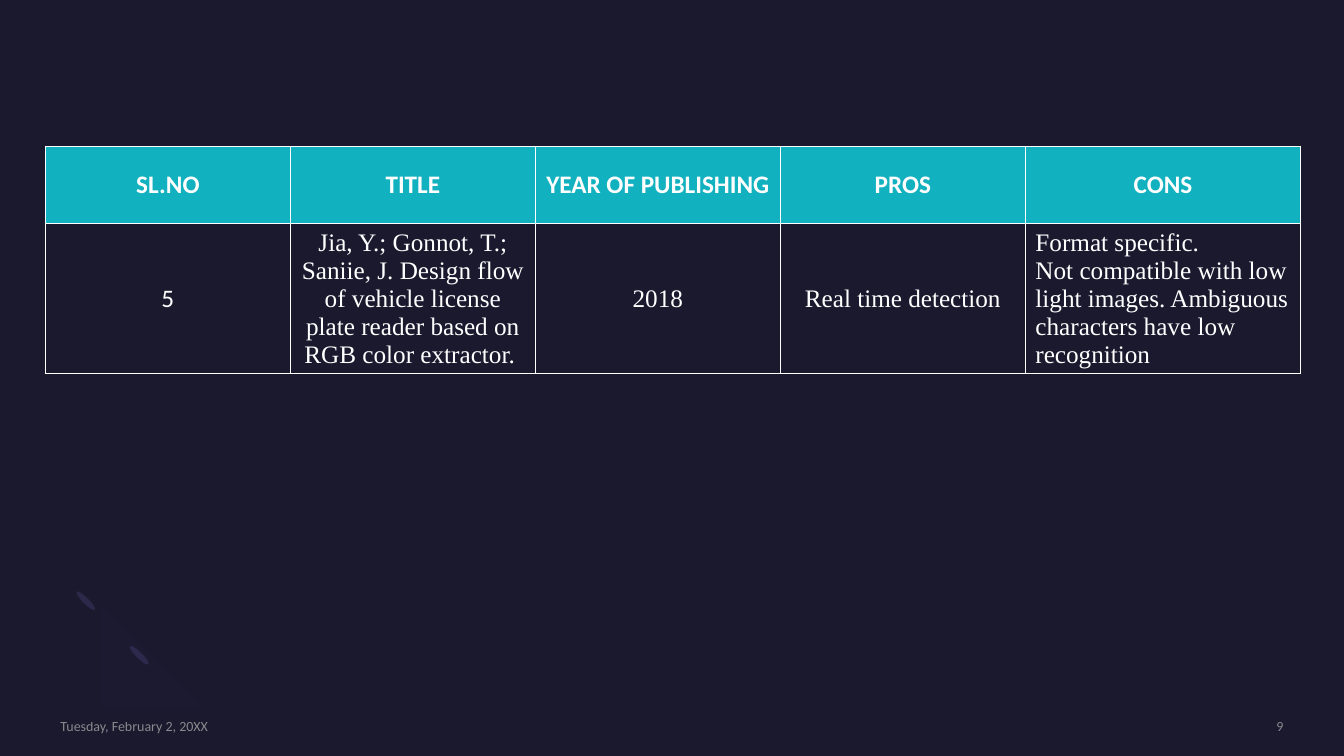
"""Build a literature survey slide with a one-row comparison table."""
from dataclasses import dataclass
from typing import Any

from lxml import etree
from pptx import Presentation
from pptx.dml.color import RGBColor
from pptx.enum.shapes import MSO_SHAPE
from pptx.enum.text import MSO_ANCHOR, PP_ALIGN
from pptx.oxml.ns import qn
from pptx.util import Inches, Pt

OVAL = MSO_SHAPE.OVAL
MIDDLE = MSO_ANCHOR.MIDDLE
LEFT, CENTER, RIGHT = PP_ALIGN.LEFT, PP_ALIGN.CENTER, PP_ALIGN.RIGHT

NIGHT, INDIGO, LILAC = "1B192E", "2C284A", "7771B2"
TEAL, WHITE, GREY = "12B1BF", "FFFFFF", "A6A6A6"
SANS, SERIF = "Calibri", "Times New Roman"

TABLE_LEFT, TABLE_TOP = 0.45, 1.45
COLUMN_WIDTHS = [2.43] * 4 + [2.73]
ROW_HEIGHTS = [0.77, 1.49]
PETAL_SIZE = (0.06, 0.26)
PETAL_CORNERS = [(1.35, 6.37), (0.82, 5.83)]
ARC_START = (0.76, 6.59)
ARC_CURVES = [
    [(0.76, 6.59), (0.56, 6.39), (0.58, 6.05), (0.81, 5.82)],
    [(0.99, 6.0), (0.87, 6.11), (0.86, 6.29), (0.96, 6.38)],
    [(0.96, 6.38), (1.06, 6.48), (1.23, 6.47), (1.35, 6.36)],
    [(1.52, 6.54), (1.3, 6.76), (0.95, 6.79), (0.76, 6.59)],
]
CURVE_STEPS = 12

TABLE_FORMAT = {"first_row": False, "horz_banding": False}
FOOTER_FORMAT = {
    "word_wrap": True, "vertical_anchor": MIDDLE,
    "margin_left": 0, "margin_right": 0, "margin_top": 0, "margin_bottom": 0,
}


@dataclass
class Entry:
    text: str
    font: str = SERIF
    align: PP_ALIGN = CENTER
    bold: bool = False
    fill: str | None = None


@dataclass
class Footer:
    text: str
    left: float
    width: float
    align: PP_ALIGN


HEADINGS = [
    Entry(text, SANS, bold=True, fill=TEAL)
    for text in ("SL.NO", "TITLE", "YEAR OF PUBLISHING", "PROS", "CONS")
]
PAPER = [
    Entry("5", SANS),
    Entry("Jia, Y.; Gonnot, T.; Saniie, J. Design flow of vehicle license plate "
          "reader based on RGB color extractor. "),
    Entry("2018"),
    Entry("Real time detection"),
    Entry("Format specific.\nNot compatible with low light images. Ambiguous "
          "characters have low recognition", align=LEFT),
]
FOOTERS = [
    Footer("9", 10.88, 1.85, RIGHT),
    Footer("Tuesday, February 2, 20XX", 0.6, 2.88, LEFT),
]


def apply(target: Any, values: dict[str, Any]) -> None:
    """Set each named attribute on the target."""
    for name, value in values.items():
        setattr(target, name, value)


def paint(fill: Any, color: str) -> None:
    """Give a fill one solid colour."""
    fill.solid()
    fill.fore_color.rgb = RGBColor.from_string(color)


def fade(element: Any, percent: int) -> None:
    """Set the opacity of every colour inside an element."""
    for color in element.iter(qn("a:srgbClr")):
        etree.SubElement(color, qn("a:alpha"), val=str(percent * 1000))


def write(frame: Any, text: str, align: PP_ALIGN, color: str,
          font: dict[str, Any]) -> None:
    """Fill a text frame with evenly formatted paragraphs."""
    frame.text = text
    for paragraph in frame.paragraphs:
        paragraph.alignment = align
        for run in paragraph.runs:
            apply(run.font, font)
            paint(run.font.fill, color)


def outline(cell: Any) -> None:
    """Draw thin white borders around a cell."""
    properties = cell._tc.get_or_add_tcPr()
    for side in ("a:lnL", "a:lnR", "a:lnT", "a:lnB"):
        border = etree.SubElement(properties, qn(side), w=str(Pt(0.75)))
        solid = etree.SubElement(border, qn("a:solidFill"))
        etree.SubElement(solid, qn("a:srgbClr"), val=WHITE)


def draw_cell(cell: Any, entry: Entry) -> None:
    """Format one table cell from its entry."""
    outline(cell)
    if entry.fill:
        paint(cell.fill, entry.fill)
    else:
        cell.fill.background()
    cell.vertical_anchor = MIDDLE
    write(cell.text_frame, entry.text, entry.align, WHITE,
          {"name": entry.font, "size": Pt(18), "bold": entry.bold})


def draw_survey(slide: Any) -> None:
    """Add the table of the surveyed paper."""
    survey = slide.shapes.add_table(
        len(ROW_HEIGHTS), len(COLUMN_WIDTHS), Inches(TABLE_LEFT), Inches(TABLE_TOP),
        Inches(sum(COLUMN_WIDTHS)), Inches(sum(ROW_HEIGHTS))).table
    apply(survey, TABLE_FORMAT)
    for column, width in zip(survey.columns, COLUMN_WIDTHS):
        column.width = Inches(width)
    for row, height, entries in zip(survey.rows, ROW_HEIGHTS, (HEADINGS, PAPER)):
        row.height = Inches(height)
        for cell, entry in zip(row.cells, entries):
            draw_cell(cell, entry)


def curve_points(curve: list[tuple[float, float]]) -> list[tuple[float, float]]:
    """Sample a cubic curve at equal steps."""
    points = []
    for step in range(CURVE_STEPS + 1):
        t = step / CURVE_STEPS
        weights = ((1 - t) ** 3, 3 * t * (1 - t) ** 2, 3 * t * t * (1 - t), t ** 3)
        x, y = (sum(w * p[axis] for w, p in zip(weights, curve)) for axis in (0, 1))
        points.append((x, y))
    return points


def finish(shape: Any, color: str) -> None:
    """Give a decoration a plain fill without line or shadow."""
    shape.shadow.inherit = False
    shape.line.fill.background()
    paint(shape.fill, color)


def draw_ornament(slide: Any) -> None:
    """Add the two petals and the faint arc."""
    for left, top in PETAL_CORNERS:
        petal = slide.shapes.add_shape(
            OVAL, Inches(left), Inches(top), *map(Inches, PETAL_SIZE))
        petal.rotation = 135
        finish(petal, INDIGO)
    builder = slide.shapes.build_freeform(*ARC_START, scale=Inches(1))
    builder.add_line_segments(
        [point for curve in ARC_CURVES for point in curve_points(curve)])
    arc = builder.convert_to_shape()
    finish(arc, LILAC)
    fade(arc.element, 2)


def draw_footer(slide: Any, footer: Footer) -> None:
    """Add one line of footer text."""
    box = slide.shapes.add_textbox(
        Inches(footer.left), Inches(7.12), Inches(footer.width), Inches(0.17))
    apply(box.text_frame, FOOTER_FORMAT)
    write(box.text_frame, footer.text, footer.align, GREY,
          {"name": SANS, "size": Pt(10)})
    fade(box.element, 80)


def main() -> None:
    """Assemble and save the slide."""
    deck = Presentation()
    apply(deck, {"slide_width": Inches(13.33), "slide_height": Inches(7.5)})
    slide = deck.slides.add_slide(deck.slide_layouts[6])
    paint(slide.background.fill, NIGHT)
    draw_ornament(slide)
    draw_survey(slide)
    for footer in FOOTERS:
        draw_footer(slide, footer)
    deck.save("out.pptx")


if __name__ == "__main__":
    main()
